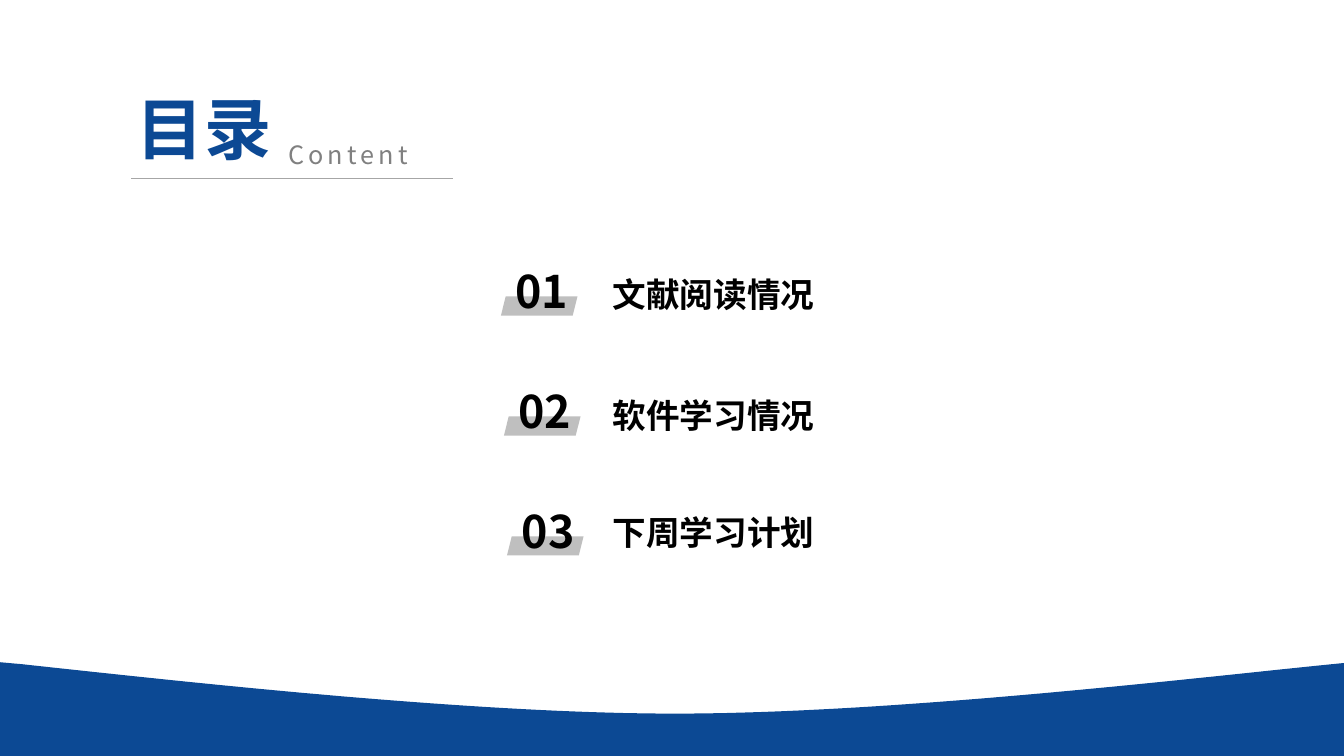
from lxml import etree
from pptx import Presentation
from pptx.dml.color import RGBColor
from pptx.enum.shapes import MSO_CONNECTOR, MSO_SHAPE
from pptx.enum.text import PP_ALIGN
from pptx.oxml.ns import qn
from pptx.util import Pt

STRAIGHT = MSO_CONNECTOR.STRAIGHT
PARALLELOGRAM = MSO_SHAPE.PARALLELOGRAM
LEFT, CENTER = PP_ALIGN.LEFT, PP_ALIGN.CENTER

WIDTH, HEIGHT = 960, 540
CURVE_STEPS = 40
ROW_PITCH = 85.7
NUMBER_SHIFT = 2.16
TOPICS = [("文献阅读情况", 192.24), ("软件学习情况", 278.64), ("下周学习计划", 362.16)]


def color(value):
    return RGBColor.from_string(value)


def bezier(start, control_a, control_b, end):
    """Return points along a cubic curve, without its start."""
    points = []
    for step in range(1, CURVE_STEPS + 1):
        t = step / CURVE_STEPS
        weights = ((1 - t) ** 3, 3 * t * (1 - t) ** 2, 3 * t * t * (1 - t), t ** 3)
        corners = (start, control_a, control_b, end)
        points.append(tuple(sum(w * corner[axis] for w, corner in zip(weights, corners))
                            for axis in (0, 1)))
    return points


class SlideBuilder:
    font = "Noto Sans CJK SC"
    blue = "0C4994"
    black = "000000"
    caption_gray = "808080"
    rule_gray = "A6A6A6"
    tag_gray = "BFBFBF"

    def __init__(self, slide):
        self.shapes = slide.shapes

    def fill(self, shape, fill_color):
        shape.shadow.inherit = False
        shape.fill.solid()
        shape.fill.fore_color.rgb = color(fill_color)
        shape.line.fill.background()

    def outline(self, points, fill_color):
        vertices = [(Pt(x), Pt(y)) for x, y in points]
        builder = self.shapes.build_freeform(*vertices[0])
        builder.add_line_segments(vertices[1:], close=True)
        self.fill(builder.convert_to_shape(), fill_color)

    def parallelogram(self, left, top, width, height, fill_color):
        shape = self.shapes.add_shape(PARALLELOGRAM, Pt(left), Pt(top), Pt(width), Pt(height))
        self.fill(shape, fill_color)

    def rule(self, left, right, y, line_color, weight):
        line = self.shapes.add_connector(STRAIGHT, Pt(left), Pt(y), Pt(right), Pt(y))
        line.line.color.rgb = color(line_color)
        line.line.width = Pt(weight)
        etree.SubElement(line._element.spPr, qn("a:effectLst"))

    def text(self, text, left, top, width, height, *, size, text_color=black,
             bold=False, align=LEFT, wrap=True, spacing=0):
        box = self.shapes.add_textbox(Pt(left), Pt(top), Pt(width), Pt(height))
        box.text_frame.word_wrap = wrap
        para = box.text_frame.paragraphs[0]
        para.alignment = align
        span = para.add_run()
        span.text = text
        span.font.size = Pt(size)
        span.font.bold = bold
        span.font.color.rgb = color(text_color)
        span.font.name = self.font
        properties = span.font._element
        etree.SubElement(properties, qn("a:ea")).set("typeface", self.font)
        if spacing:
            properties.set("spc", str(spacing * 100))


def main():
    deck = Presentation()
    deck.slide_width, deck.slide_height = Pt(WIDTH), Pt(HEIGHT)
    page = SlideBuilder(deck.slides.add_slide(deck.slide_layouts[6]))

    wave_start, wave_low, wave_end = (15.84, 474.48), (481.68, 509.76), (958.32, 473.76)
    wave = [(0, 473.04), wave_start]
    wave += bezier(wave_start, (116.64, 485.28), (331.2, 509.76), wave_low)
    wave += bezier(wave_low, (641.52, 509.76), (862.56, 483.12), wave_end)
    wave += [(WIDTH, 473.76), (WIDTH, HEIGHT), (0, HEIGHT)]
    page.outline(wave, page.blue)

    page.text("Content", 198.72, 95.76, 105.84, 28.8, size=18,
              text_color=page.caption_gray, wrap=False, spacing=3)
    page.rule(93.6, 323.28, 127.44, page.rule_gray, 0.5)

    for index, (topic, topic_top) in enumerate(TOPICS):
        shift, drop = index * NUMBER_SHIFT, index * ROW_PITCH
        page.parallelogram(357.84 + shift, 211.68 + drop, 54.72, 13.68, page.tag_gray)
        page.text(f"{index + 1:02}", 360 + shift, 185.04 + drop, 54.36, 46.08,
                  size=32, bold=True, align=CENTER)
        page.text(topic, 430.56, topic_top, 167.04, 38.16, size=24, bold=True)

    page.text("目录", 90.72, 59.04, 111.6, 65.52, size=48,
              text_color=page.blue, bold=True, wrap=False)
    deck.save("out.pptx")


if __name__ == "__main__":
    main()
